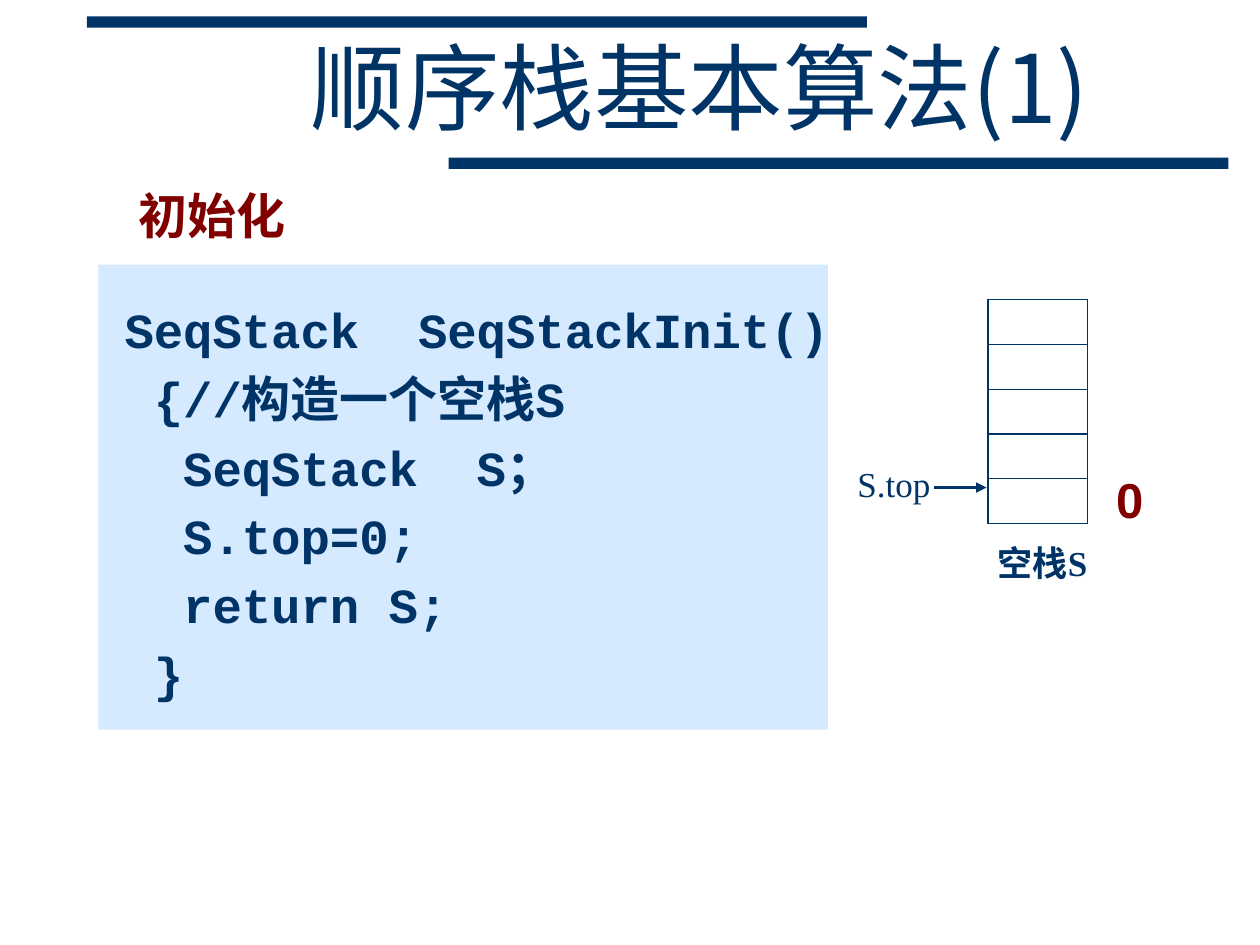
from pptx import Presentation
from pptx.dml.color import RGBColor
from pptx.enum.shapes import MSO_CONNECTOR as Connector, MSO_SHAPE as Shape
from pptx.enum.text import MSO_ANCHOR as Anchor, PP_ALIGN as Align
from pptx.oxml.ns import qn
from pptx.util import Inches, Pt
from lxml import etree

NAVY = RGBColor(0x00, 0x33, 0x66)
MAROON = RGBColor(0x80, 0x00, 0x00)
PALE_BLUE = RGBColor(0xD5, 0xE9, 0xFF)
CHINESE_FONT = "Noto Sans CJK JP"

presentation = Presentation()
presentation.slide_width = Inches(10)
presentation.slide_height = Inches(7.5)
slide = presentation.slides.add_slide(presentation.slide_layouts[6])


def add_rectangle(left, top, width, height, fill=None):
    shape = slide.shapes.add_shape(Shape.RECTANGLE, Inches(left), Inches(top),
                                   Inches(width), Inches(height))
    shape.shadow.inherit = False
    if fill is None:
        shape.fill.background()
        shape.line.color.rgb = NAVY
        shape.line.width = Pt(0.75)
    else:
        shape.fill.solid()
        shape.fill.fore_color.rgb = fill
        shape.line.fill.background()


def add_text(text, left, top, width, height, size=28, font="Arial", color=NAVY,
             bold=False, align=Align.LEFT, anchor=Anchor.TOP, wrap=True, side_inset=0.1,
             east_asian_font=None, line_spacing=None, space_before=0, hanging=0):
    box = slide.shapes.add_textbox(Inches(left), Inches(top),
                                   Inches(width), Inches(height))
    frame = box.text_frame
    frame.word_wrap = wrap
    frame.vertical_anchor = anchor
    frame.margin_left = frame.margin_right = Inches(side_inset)
    for index, line in enumerate(text.split("\n")):
        paragraph = frame.paragraphs[0] if index == 0 else frame.add_paragraph()
        paragraph.alignment = align
        paragraph.line_spacing = line_spacing
        if index:
            paragraph.space_before = Pt(space_before)
        if hanging:
            properties = paragraph._p.get_or_add_pPr()
            properties.set("marL", str(Inches(hanging)))
            properties.set("indent", str(-Inches(hanging)))
        run = paragraph.add_run()
        run.text = line
        run.font.size = Pt(size)
        run.font.name = font
        run.font.bold = bold
        run.font.color.rgb = color
        east_asian = etree.SubElement(run._r.get_or_add_rPr(), qn("a:ea"))
        east_asian.set("typeface", east_asian_font or font)


# Title between two bars
for left, top in ((0.69, 0.13), (3.56, 1.25)):
    add_rectangle(left, top, 6.19, 0.09, NAVY)
add_text("顺序栈基本算法(1)", 1.52, 0.25, 8.07, 1, size=54, font=CHINESE_FONT,
         align=Align.CENTER, anchor=Anchor.MIDDLE, line_spacing=0.85)

# Heading and code panel
add_text("初始化", 1, 1.42, 4.08, 0.57, color=MAROON, bold=True)
add_rectangle(0.78, 2.1, 5.79, 3.69, PALE_BLUE)
code = """SeqStack  SeqStackInit()
 {//构造一个空栈S
  SeqStack  S；
  S.top=0;
  return S;
 }"""
add_text(code, 0.89, 2.33, 8.7, 4.24, font="Courier New", bold=True,
         align=Align.JUSTIFY, space_before=5.6, hanging=0.38)

# Empty stack of five cells
CELL_HEIGHT = 0.355
for row in range(5):
    add_rectangle(7.84, 2.38 + row * CELL_HEIGHT, 0.79, CELL_HEIGHT)
label_format = dict(size=20, font="Times New Roman", east_asian_font=CHINESE_FONT,
                    align=Align.CENTER, anchor=Anchor.MIDDLE, wrap=False, side_inset=0)
add_text("空栈S", 7.78, 4.27, 0.99, 0.39, bold=True, **label_format)
add_text("S.top", 6.78, 3.64, 0.63, 0.39, **label_format)
add_text("0", 8.76, 3.68, 1.18, 0.57, color=MAROON, bold=True)

# Arrow to the bottom cell
arrow = slide.shapes.add_connector(Connector.STRAIGHT, Inches(7.41), Inches(3.87),
                                   Inches(7.83), Inches(3.87))
arrow.line.color.rgb = NAVY
arrow.line.width = Pt(1.5)
etree.SubElement(arrow.line._get_or_add_ln(), qn("a:tailEnd")).set("type", "triangle")
etree.SubElement(arrow._element.spPr, qn("a:effectLst"))

presentation.save("out.pptx")
